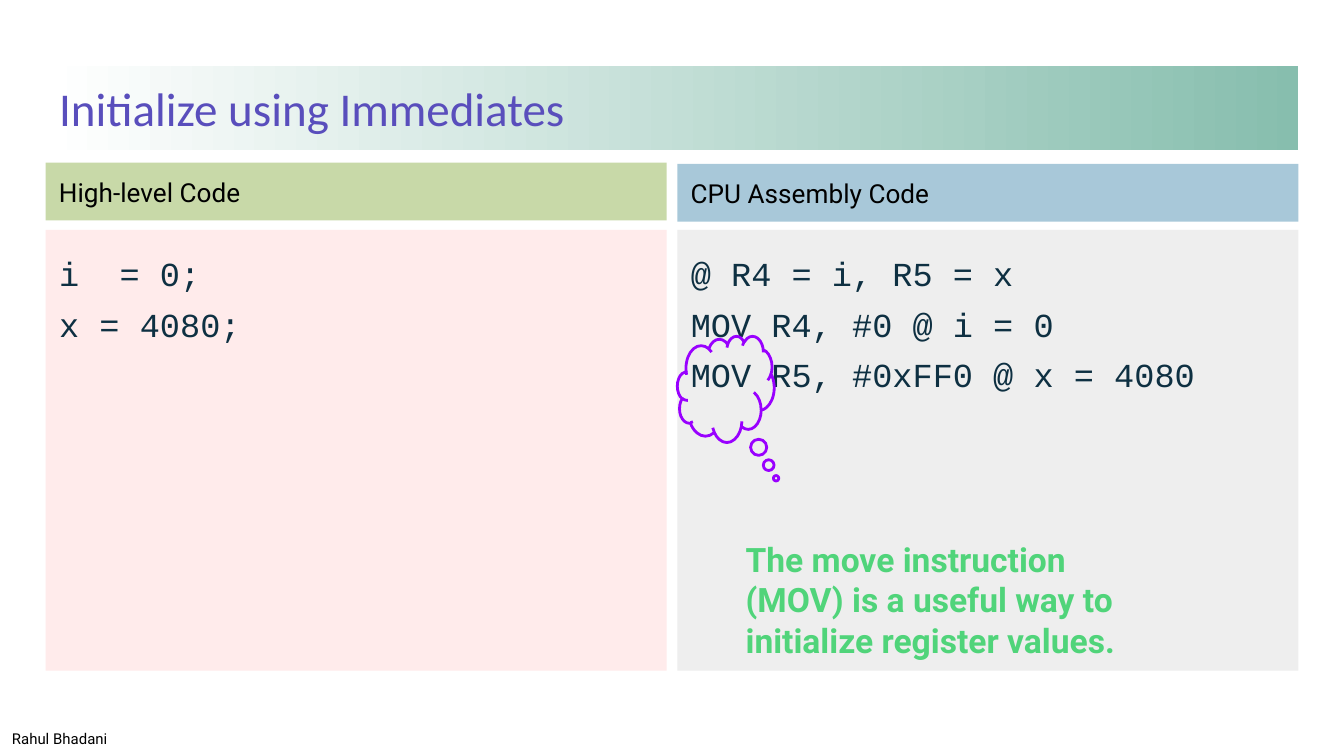
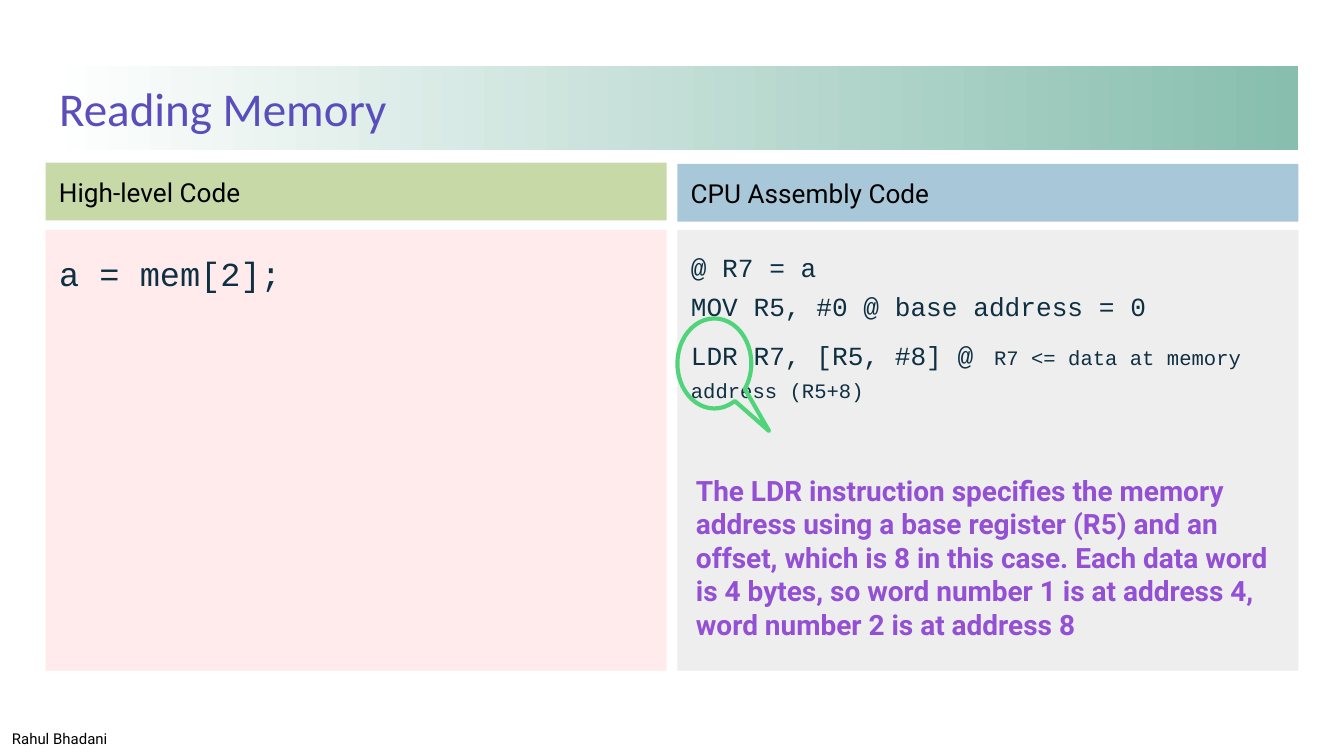
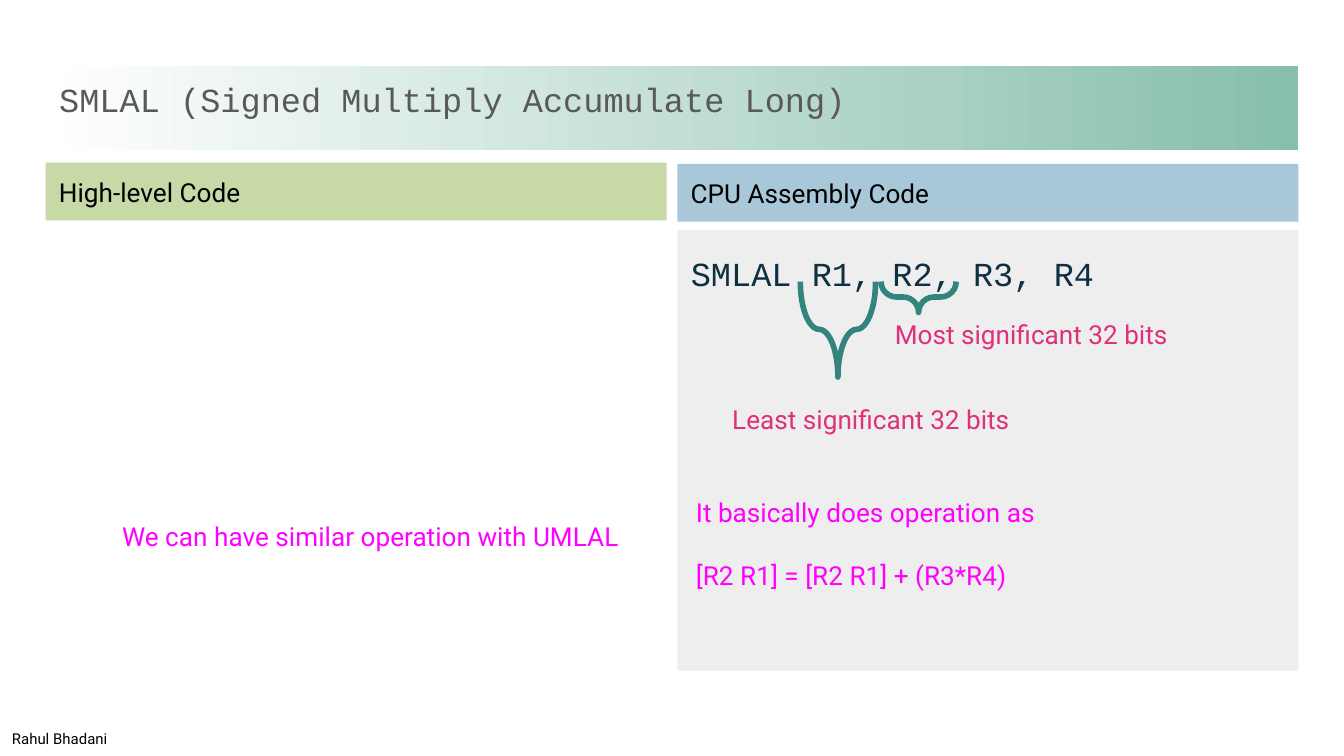
from dataclasses import dataclass

from lxml import etree
from pptx import Presentation
from pptx.dml.color import RGBColor
from pptx.enum.shapes import MSO_SHAPE
from pptx.enum.text import MSO_ANCHOR, MSO_AUTO_SIZE, PP_ALIGN
from pptx.oxml.ns import qn
from pptx.util import Inches, Pt

RECTANGLE = MSO_SHAPE.RECTANGLE
CLOUD = MSO_SHAPE.CLOUD_CALLOUT
BUBBLE = MSO_SHAPE.OVAL_CALLOUT
BRACE = MSO_SHAPE.LEFT_BRACE
TOP = MSO_ANCHOR.TOP
LEFT = PP_ALIGN.LEFT
FIXED = MSO_AUTO_SIZE.NONE

CELL = 0.1  # inches per grid column and row
COLUMNS, ROWS = 100, 56.25
TWO_CONTENT = 3


@dataclass(frozen=True)
class Theme:
    text_font: str = "Roboto"
    code_font: str = "Courier New"
    title_font: str = "Calibri"
    title_size: float = 25.2
    code_size: float = 18
    note_size: float = 14
    footer_size: float = 8
    black: str = "000000"
    title: str = "594EBC"
    gray: str = "595959"
    band_start: str = "FFFFFF"
    band_end: str = "87BEAE"
    code: str = "0E3042"
    high_level_header: str = "C8D9A8"
    assembly_header: str = "A8C8D9"
    high_level_panel: str = "FFEBEB"
    assembly_panel: str = "EEEEEE"
    green: str = "50D47A"
    violet: str = "9900FF"
    purple: str = "9350D4"
    teal: str = "33847C"
    pink: str = "DF3079"
    magenta: str = "FF00FF"


THEME = Theme()


@dataclass(frozen=True)
class Box:
    """A place on the grid, in columns and rows."""
    column: float
    row: float
    columns: float
    rows: float

    def frame(self) -> tuple:
        cells = (self.column, self.row, self.columns, self.rows)
        return tuple(Inches(cell * CELL) for cell in cells)


@dataclass(frozen=True)
class Span:
    text: str
    size: float | None = None


@dataclass(frozen=True)
class Note:
    box: Box
    lines: tuple
    color: str
    size: float = THEME.note_size
    bold: bool = False


@dataclass(frozen=True)
class Mark:
    """An unfilled outline that points at a piece of code."""
    kind: int
    box: Box
    adjustments: tuple
    color: str
    weight: float
    rotation: float = 0


@dataclass(frozen=True)
class Page:
    title: str
    assembly: tuple
    high_level: tuple = ()
    marks: tuple = ()
    notes: tuple = ()
    assembly_size: float = THEME.code_size
    title_font: str = THEME.title_font
    title_size: float = THEME.title_size
    title_color: str = THEME.title


MARGIN, PANEL_COLUMNS, GUTTER = 3.4, 46.2, 0.8
ASSEMBLY_COLUMN = MARGIN + PANEL_COLUMNS + GUTTER
HEADER_ROWS = 4.3
PANEL_ROW, PANEL_ROWS = 17.1, 32.8
TITLE_BOX = Box(MARGIN, 4.9, 2 * PANEL_COLUMNS + GUTTER, 6.3)
HIGH_LEVEL_BOX = Box(MARGIN, PANEL_ROW, PANEL_COLUMNS, PANEL_ROWS)
ASSEMBLY_BOX = Box(ASSEMBLY_COLUMN, PANEL_ROW, PANEL_COLUMNS, PANEL_ROWS)
FOOTER_BOX = Box(-0.1, 53.3, 16.9, 4)
HEADERS = (
    ("CPU Assembly Code", Box(ASSEMBLY_COLUMN, 12.2, PANEL_COLUMNS, HEADER_ROWS), THEME.assembly_header),
    ("High-level Code", Box(MARGIN, 12.1, PANEL_COLUMNS, HEADER_ROWS), THEME.high_level_header),
)


def rgb(color: str) -> RGBColor:
    return RGBColor.from_string(color)


def write_text(shape, lines, *, font=THEME.text_font, size=THEME.note_size, color=THEME.black,
               bold=False, spacing=None, gap=0) -> None:
    """Fill a shape with lines, each a string or a tuple of spans; gap is in points."""
    frame = shape.text_frame
    frame.word_wrap = True
    frame.auto_size = FIXED
    frame.vertical_anchor = TOP
    inset = Inches(CELL)
    frame.margin_left = frame.margin_right = frame.margin_top = frame.margin_bottom = inset
    for index, line in enumerate(lines):
        para = frame.add_paragraph() if index else frame.paragraphs[0]
        properties = para._p.get_or_add_pPr()
        properties.set("marL", "0")
        properties.set("indent", "0")
        etree.SubElement(properties, qn("a:buNone"))
        para.alignment = LEFT
        para.space_before = Pt(gap if index else 0)
        if spacing:
            para.line_spacing = spacing
        for span in (Span(line),) if isinstance(line, str) else line:
            run = para.add_run()
            run.text = span.text
            run.font.name = font
            run.font.size = Pt(span.size or size)
            run.font.bold = bold
            run.font.color.rgb = rgb(color)


def move_to(shape, box: Box) -> None:
    shape.left, shape.top, shape.width, shape.height = box.frame()


def fill_solid(shape, color: str) -> None:
    shape.fill.solid()
    shape.fill.fore_color.rgb = rgb(color)


def share_frame(slide, layout) -> None:
    """Draw the column headers and footer, then hand them to the layout."""
    shared = []
    for text, box, color in HEADERS:
        header = slide.shapes.add_shape(RECTANGLE, *box.frame())
        header.shadow.inherit = False
        header.line.fill.background()
        fill_solid(header, color)
        write_text(header, (text,))
        shared.append(header)
    footer = slide.shapes.add_textbox(*FOOTER_BOX.frame())
    write_text(footer, ("Rahul Bhadani",), size=THEME.footer_size)
    shared.append(footer)
    for shape in shared:
        layout.shapes.element.append(shape.element)


def draw_title(slide, page: Page) -> None:
    title = slide.shapes.title
    move_to(title, TITLE_BOX)
    title.fill.gradient()
    title.fill.gradient_angle = 0
    for stop, color in zip(title.fill.gradient_stops, (THEME.band_start, THEME.band_end)):
        stop.color.rgb = rgb(color)
    write_text(title, (page.title,), font=page.title_font, size=page.title_size,
               color=page.title_color)


def draw_panel(panel, box: Box, lines: tuple, fill: str, size: float = THEME.code_size) -> None:
    if not lines:
        panel.element.getparent().remove(panel.element)
        return
    move_to(panel, box)
    fill_solid(panel, fill)
    write_text(panel, lines, font=THEME.code_font, size=size, color=THEME.code, spacing=1.25)


def draw_mark(slide, mark: Mark) -> None:
    shape = slide.shapes.add_shape(mark.kind, *mark.box.frame())
    shape.shadow.inherit = False
    shape.fill.background()
    shape.line.color.rgb = rgb(mark.color)
    shape.line.width = Pt(mark.weight)
    shape.rotation = mark.rotation
    for index, value in enumerate(mark.adjustments):
        shape.adjustments[index] = value


def draw_note(slide, note: Note) -> None:
    box = slide.shapes.add_textbox(*note.box.frame())
    write_text(box, note.lines, size=note.size, color=note.color, bold=note.bold, gap=17)


def draw_page(slide, page: Page) -> None:
    draw_title(slide, page)
    high_level, assembly = list(slide.placeholders)[1:]
    draw_panel(high_level, HIGH_LEVEL_BOX, page.high_level, THEME.high_level_panel)
    draw_panel(assembly, ASSEMBLY_BOX, page.assembly, THEME.assembly_panel, page.assembly_size)
    for mark in page.marks:
        draw_mark(slide, mark)
    for note in page.notes:
        draw_note(slide, note)


def brace(box: Box) -> Mark:
    return Mark(BRACE, box, (0.5, 0.5), THEME.teal, 3, rotation=270)


PAGES = (
    Page(
        title="Initialize using Immediates",
        high_level=("i  = 0;", "x = 4080;"),
        assembly=("@ R4 = i, R5 = x", "MOV R4, #0 @ i = 0", "MOV R5, #0xFF0 @ x = 4080"),
        marks=(Mark(CLOUD, Box(ASSEMBLY_COLUMN, 25, 7.2, 7.9), (0.52, 0.84), THEME.violet, 1.5),),
        notes=(Note(
            Box(54.5, 39.1, 33.3, 6.9),
            ("The move instruction (MOV) is a useful way to initialize register values.",),
            THEME.green, size=18, bold=True),),
    ),
    Page(
        title="Reading Memory",
        high_level=("a = mem[2];",),
        assembly=(
            "@ R7 = a",
            "MOV R5, #0 @ base address = 0",
            (Span("LDR R7, [R5, #8] @"), Span(" ", 18),
             Span("R7 <= data at memory address (R5+8)", 11)),
        ),
        assembly_size=14,
        marks=(Mark(BUBBLE, Box(ASSEMBLY_COLUMN, 23.7, 5.5, 6.7), (0.74, 0.75), THEME.green, 2.25),),
        notes=(Note(
            Box(50.8, 34.2, 45.8, 6.9),
            ("The LDR instruction specifies the memory address using a base register (R5) "
             "and an offset, which is 8 in this case. Each data word is 4 bytes, so word "
             "number 1 is at address 4, word number 2 is at address 8",),
            THEME.purple, size=15, bold=True),),
    ),
    Page(
        title="SMLAL (Signed Multiply Accumulate Long)",
        title_font=THEME.code_font,
        title_size=18,
        title_color=THEME.gray,
        assembly=("SMLAL R1, R2, R3, R4",),
        marks=(brace(Box(67.2, 19.3, 2.3, 5.6)), brace(Box(58.8, 21.7, 7.1, 5.6))),
        notes=(
            Note(Box(50.8, 35.9, 42.7, 9),
                 ("It basically does operation as", "[R2 R1] = [R2 R1] + (R3*R4)"),
                 THEME.magenta),
            Note(Box(65.6, 22.7, 25.7, 4.7), ("Most significant 32 bits",), THEME.pink),
            Note(Box(53.5, 29, 25.7, 4.7), ("Least significant 32 bits",), THEME.pink),
            Note(Box(8.1, 37.7, 42.7, 9), ("We can have similar operation with UMLAL",),
                 THEME.magenta),
        ),
    ),
)


def main() -> None:
    deck = Presentation()
    deck.slide_width = Inches(COLUMNS * CELL)
    deck.slide_height = Inches(ROWS * CELL)
    layout = deck.slide_layouts[TWO_CONTENT]
    slides = [deck.slides.add_slide(layout) for _ in PAGES]
    share_frame(slides[0], layout)
    for slide, page in zip(slides, PAGES):
        draw_page(slide, page)
    deck.save("out.pptx")


if __name__ == "__main__":
    main()
